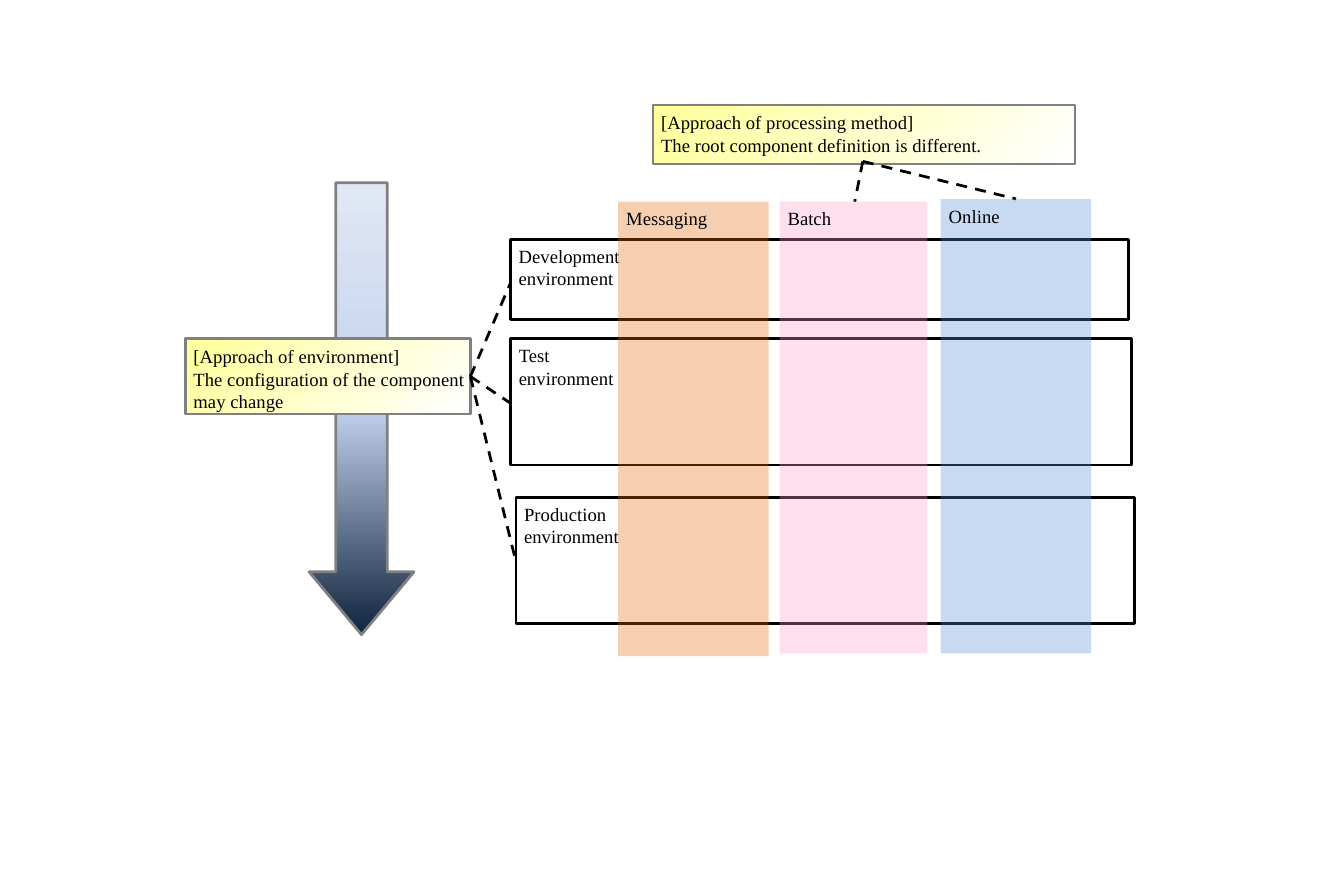
from lxml import etree
from pptx import Presentation
from pptx.dml.color import RGBColor
from pptx.enum.dml import MSO_LINE
from pptx.enum.shapes import MSO_CONNECTOR, MSO_SHAPE
from pptx.enum.text import MSO_ANCHOR, PP_ALIGN
from pptx.oxml.ns import qn
from pptx.util import Inches, Pt

COLORS = {
    "black": "000000", "white": "FFFFFF", "gray": "808080", "yellow": "FFFF99",
    "navy": "0F243E", "mist": "C2D1ED", "pale": "E1E8F5",
    "orange": "E46C0A", "pink": "FF99CC", "blue": "558ED5",
}


def add_box(bounds, lines, border=None, preset=MSO_SHAPE.RECTANGLE):
    shape = slide.shapes.add_shape(preset, *[Inches(value) for value in bounds])
    shape.shadow.inherit = False
    if border:
        shape.line.color.rgb = RGBColor.from_string(COLORS[border])
        shape.line.width = Pt(0.75)
    else:
        shape.line.fill.background()
    frame = shape.text_frame
    frame.word_wrap = True
    frame.vertical_anchor = MSO_ANCHOR.TOP
    frame.margin_left, frame.margin_top = Inches(0.03), Inches(0.02)
    frame.margin_right = frame.margin_bottom = 0
    frame.text = "\n".join(lines)
    for paragraph in frame.paragraphs:
        paragraph.alignment = PP_ALIGN.LEFT
        for run in paragraph.runs:
            run.font.size = Pt(5)
            run.font.name = "Times New Roman"
            run.font.color.rgb = RGBColor.from_string(COLORS["black"])
    return shape


def fill_gradient(shape, angle, stops):
    shape.fill.gradient()
    shape.fill.gradient_angle = angle
    stop_list = shape.element.spPr.find(qn("a:gradFill")).find(qn("a:gsLst"))
    for stop in list(stop_list):
        stop_list.remove(stop)
    for position, color in stops:
        stop = etree.SubElement(stop_list, qn("a:gs"), pos=str(position * 1000))
        etree.SubElement(stop, qn("a:srgbClr"), val=COLORS[color])


presentation = Presentation()
presentation.slide_width, presentation.slide_height = Inches(5), Inches(3.25)
slide = presentation.slides.add_slide(presentation.slide_layouts[6])

environments = [
    ("Development", (1.9, 0.89, 2.3, 0.3)),
    ("Test", (1.9, 1.26, 2.31, 0.47)),
    ("Production", (1.92, 1.85, 2.3, 0.47)),
]
for name, bounds in environments:
    row = add_box(bounds, [name, "environment"], "black")
    row.fill.solid()
    row.fill.fore_color.rgb = RGBColor.from_string(COLORS["white"])

arrow = add_box((1.15, 0.68, 0.39, 1.68), [], "gray", MSO_SHAPE.DOWN_ARROW)
arrow.adjustments[0], arrow.adjustments[1] = 0.493, 0.598
fill_gradient(arrow, 90, [(0, "navy"), (50, "mist"), (100, "pale")])

notes = [
    ((2.43, 0.39, 1.57, 0.22),
     ["[Approach of processing method]", "The root component definition is different."]),
    ((0.69, 1.26, 1.06, 0.28),
     ["[Approach of environment]", "The configuration of the component may change"]),
]
for bounds, lines in notes:
    note = add_box(bounds, lines, "gray")
    fill_gradient(note, 315, [(0, "yellow"), (100, "white")])
    for paragraph in note.text_frame.paragraphs:
        paragraph.line_spacing = Pt(6.1)

links = [
    ((3.21, 0.6), [(3.18, 0.75), (3.78, 0.74)]),
    ((1.75, 1.4), [(1.9, 1.05), (1.9, 1.5), (1.92, 2.09)]),
]
for start, ends in links:
    for end in ends:
        link = slide.shapes.add_connector(
            MSO_CONNECTOR.STRAIGHT, *[Inches(value) for value in start + end])
        link.line.color.rgb = RGBColor.from_string(COLORS["black"])
        link.line.width = Pt(0.75)
        link.line.dash_style = MSO_LINE.DASH
        etree.SubElement(link.element.spPr, qn("a:effectLst"))

methods = [
    ("Batch", "pink", (2.9, 0.75, 0.55, 1.68)),
    ("Online", "blue", (3.5, 0.74, 0.56, 1.69)),
    ("Messaging", "orange", (2.3, 0.75, 0.56, 1.69)),
]
for name, color, bounds in methods:
    column = add_box(bounds, [name])
    column.fill.solid()
    column.fill.fore_color.rgb = RGBColor.from_string(COLORS[color])
    fill_color = column.element.spPr.find(qn("a:solidFill")).find(qn("a:srgbClr"))
    etree.SubElement(fill_color, qn("a:alpha"), val="32000")

presentation.save("out.pptx")
